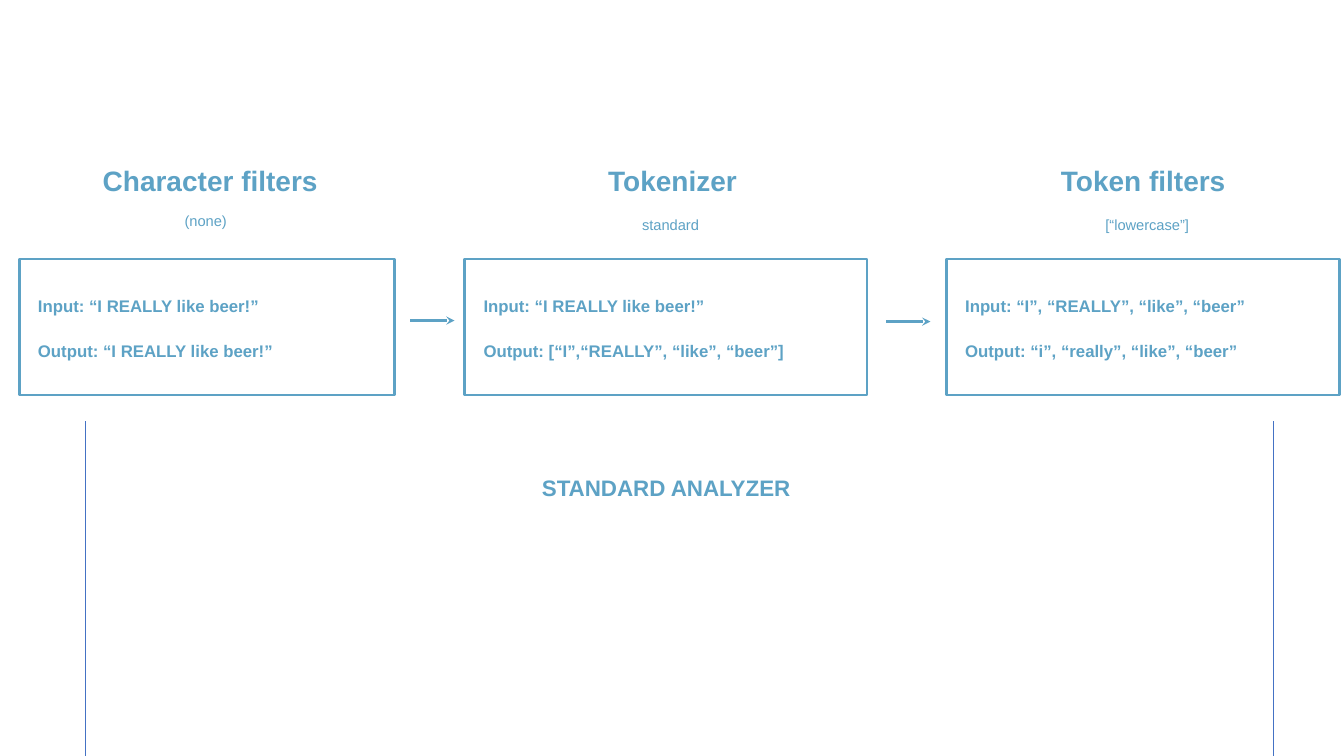
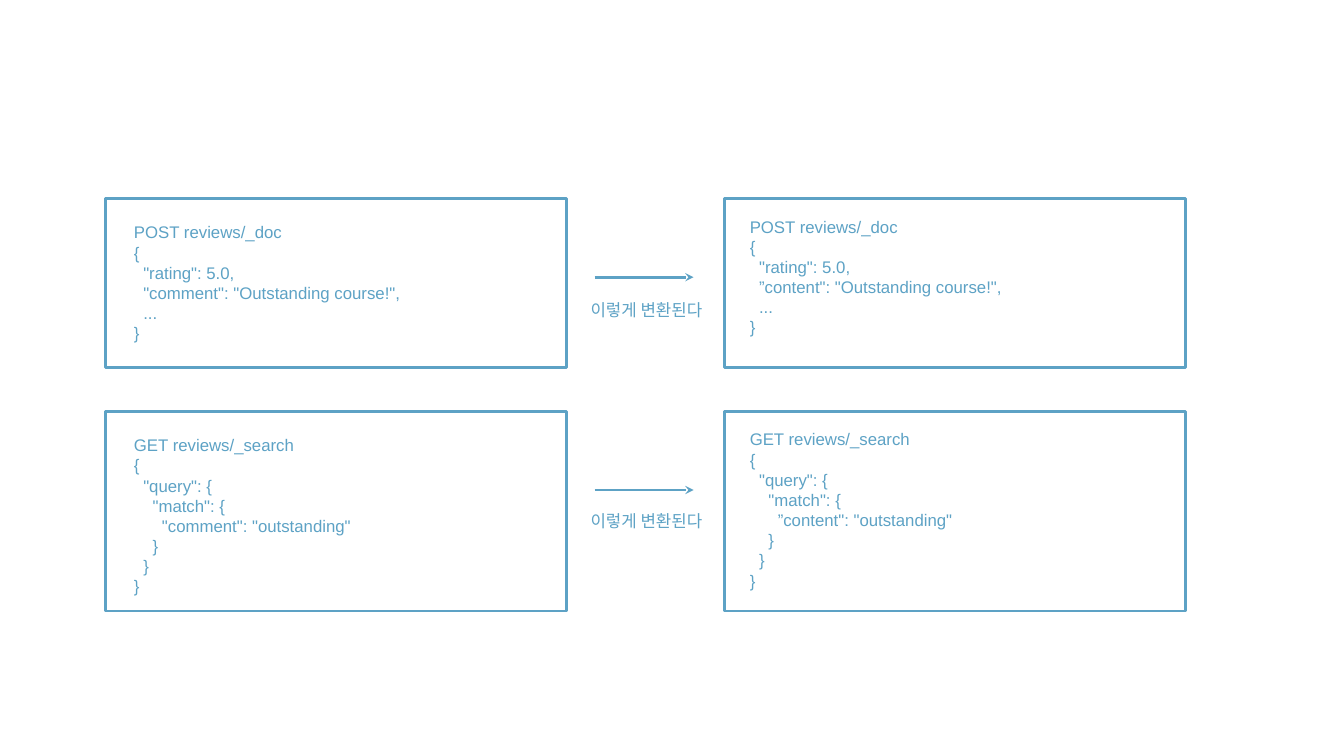
from dataclasses import dataclass

from pptx import Presentation
from pptx.dml.color import RGBColor
from pptx.enum.shapes import MSO_CONNECTOR, MSO_SHAPE
from pptx.enum.text import MSO_ANCHOR, MSO_AUTO_SIZE, PP_ALIGN
from pptx.oxml.ns import qn
from pptx.shapes.base import BaseShape
from pptx.slide import Slide
from pptx.util import Pt
from lxml import etree

# Shared look
BLUE = RGBColor(0x5D, 0xA2, 0xC5)
EDGE = RGBColor(0x44, 0x72, 0xC4)
FONT = "Arial"
LEFT, MID = PP_ALIGN.LEFT, PP_ALIGN.CENTER
TOP = MSO_ANCHOR.TOP
GROW = MSO_AUTO_SIZE.SHAPE_TO_FIT_TEXT
RECT = MSO_SHAPE.RECTANGLE
LINE = MSO_CONNECTOR.STRAIGHT
STEP = 6.67  # code indent per level
TURN = "이렇게 변환된다"


@dataclass
class Area:
    x: float
    y: float
    w: float
    h: float


@dataclass
class Stage:
    x: float
    w: float
    name: str
    head: Area
    note: str
    sub: Area
    lines: tuple[str, str]


@dataclass
class Change:
    y: float
    h: float
    tall: float
    label: float
    code: list[tuple[int, str]]
    line: int  # the line that changes
    new: str


# Drawing
def style(shape: BaseShape, lines: list[tuple[int, str]], size: float,
          bold: bool = False, align: PP_ALIGN = LEFT) -> None:
    frame = shape.text_frame
    frame.word_wrap = True
    frame.auto_size = GROW
    frame.vertical_anchor = TOP
    frame.text = "\n".join(text for _, text in lines)
    for par, (depth, _) in zip(frame.paragraphs, lines):
        par.alignment = align
        font = par.font
        font.name, font.size, font.bold = FONT, Pt(size), bold
        font.color.rgb = BLUE
        if depth:
            props = par._p.get_or_add_pPr()
            props.set("marL", str(Pt(depth * STEP)))
            props.set("indent", "0")


def write(slide: Slide, area: Area, lines: list[tuple[int, str]], size: float,
          bold: bool = False, align: PP_ALIGN = LEFT) -> None:
    box = slide.shapes.add_textbox(Pt(area.x), Pt(area.y), Pt(area.w), Pt(area.h))
    style(box, lines, size, bold, align)


def frame_box(slide: Slide, area: Area) -> None:
    box = slide.shapes.add_shape(RECT, Pt(area.x), Pt(area.y), Pt(area.w), Pt(area.h))
    box.shadow.inherit = False
    box.fill.background()
    box.line.color.rgb = BLUE
    box.line.width = Pt(2)


def rule(slide: Slide, x: float, y: float, x2: float, y2: float,
         color: RGBColor = BLUE, width: float = 2, arrow: bool = True) -> None:
    link = slide.shapes.add_connector(LINE, Pt(x), Pt(y), Pt(x2), Pt(y2))
    link.line.color.rgb = color
    link.line.width = Pt(width)
    props = link.element.spPr
    if arrow:
        etree.SubElement(props.find(qn("a:ln")), qn("a:tailEnd"), type="stealth")
    etree.SubElement(props, qn("a:effectLst"))


deck = Presentation()
deck.slide_width, deck.slide_height = Pt(960), Pt(540)

# Slide 1: the three stages of the analyzer
STAGES = [
    Stage(13.7, 268, "Character filters", Area(38.2, 113, 224, 31.5),
          "(none)", Area(72, 147.6, 150, 20.6),
          ("Input: “I REALLY like beer!”", "Output: “I REALLY like beer!”")),
    Stage(332, 287.3, "Tokenizer", Area(405.4, 113, 150, 31.5),
          "standard", Area(404, 150.5, 150, 20.6),
          ("Input: “I REALLY like beer!”",
           "Output: [“I”,“REALLY”, “like”, “beer”]")),
    Stage(676, 281, "Token filters", Area(741.6, 113, 150, 31.5),
          "[“lowercase”]", Area(744.5, 150.5, 150, 20.6),
          ("Input: “I”, “REALLY”, “like”, “beer”",
           "Output: “i”, “really”, “like”, “beer”")),
]
slide = deck.slides.add_slide(deck.slide_layouts[5])
title = slide.shapes.title
title.left, title.top, title.width, title.height = Pt(356.4), Pt(334.8), Pt(239), Pt(26.6)
style(title, [(0, "STANDARD ANALYZER")], 16, True, MID)

for stage in STAGES:
    frame_box(slide, Area(stage.x, 185, stage.w, 97.2))
    for row, text in enumerate(stage.lines):
        write(slide, Area(stage.x + 6.3, 207.4 + row * 32.7, stage.w - 6.3, 21.8),
              [(0, text)], 12, True)
    write(slide, stage.head, [(0, stage.name)], 20, True, MID)
    write(slide, stage.sub, [(0, stage.note)], 10.5, align=MID)

for x, y in ((293, 229), (632.9, 229.7)):
    rule(slide, x, y, x + 31.7, y)
for x in (61, 909.4):
    rule(slide, x, 301, x, 540, EDGE, 0.5, False)

# Slide 2: requests before and after the change
CHANGES = [
    Change(141.8, 121, 94.3, 210.2, [
        (0, "POST reviews/_doc"),
        (0, "{"),
        (1, '"rating": 5.0,'),
        (1, '"comment": "Outstanding course!",'),
        (1, "..."),
        (0, "}"),
    ], 3, '”content": "Outstanding course!",'),
    Change(293.8, 142.6, 123.8, 361.6, [
        (0, "GET reviews/_search"),
        (0, "{"),
        (1, '"query": {'),
        (2, '"match": {'),
        (3, '"comment": "outstanding"'),
        (2, "}"),
        (1, "}"),
        (0, "}"),
    ], 4, '”content": "outstanding"'),
]
slide = deck.slides.add_slide(deck.slide_layouts[6])
for item in CHANGES:
    after = list(item.code)
    after[item.line] = (after[item.line][0], item.new)
    for x, dx, dy, code in ((75.6, 13, 13.3, item.code), (517.7, 10.8, 9.2, after)):
        frame_box(slide, Area(x, item.y, 329, item.h))
        write(slide, Area(x + dx, item.y + dy, 308, item.tall), code, 12)
    rule(slide, 424.8, item.y + 56.2, 495.4, item.y + 56.2)
    write(slide, Area(414.7, item.label, 102.2, 21.8), [(0, TURN)], 12)

deck.save("out.pptx")
